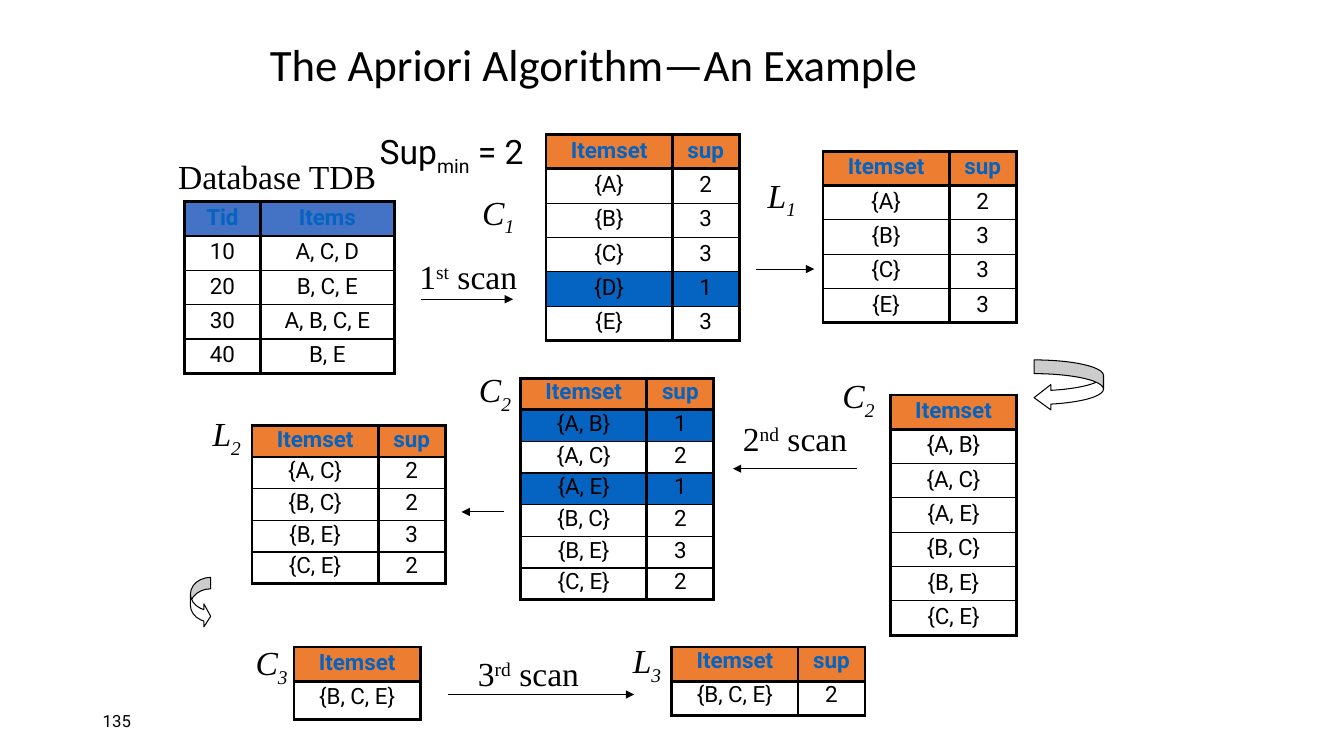
from lxml.etree import SubElement
from pptx import Presentation
from pptx.dml.color import RGBColor
from pptx.enum.shapes import MSO_CONNECTOR, MSO_SHAPE
from pptx.enum.text import MSO_ANCHOR, MSO_AUTO_SIZE, PP_ALIGN
from pptx.oxml import parse_xml
from pptx.oxml.ns import nsdecls, qn
from pptx.util import Cm, Pt

BLACK, WHITE = "000000", "FFFFFF"
BLUE, HEADER_BLUE, ORANGE = "0563C1", "4472C4", "ED7D31"
SERIF, SANS = "Times New Roman", "Roboto"
SUBSCRIPT, SUPERSCRIPT = -25000, 30000

TITLE = "The Apriori Algorithm—An Example"
PAGE_NUMBER = "135"
DATABASE_LABEL = "Database TDB"
SUPPORT_RUNS = [("Sup", 0), ("min", SUBSCRIPT), (" = 2", 0)]

# Lengths are centimetres.
LABEL_HEIGHT = 1.27
# letter, index, left, top, width
SET_LABELS = [
    ("C", "1", 11.88, 4.78, 1.35),
    ("L", "1", 19.07, 4.34, 1.27),
    ("L", "2", 5.08, 10.36, 1.27),
    ("C", "2", 11.8, 9.25, 1.35),
    ("C", "2", 20.96, 9.4, 1.35),
    ("C", "3", 6.17, 16.13, 1.35),
    ("L", "3", 15.67, 16.08, 1.27),
]
# number, ordinal ending, left, top, width
SCAN_LABELS = [
    ("1", "st", 10.29, 6.32, 3.02),
    ("2", "nd", 18.42, 10.41, 3.23),
    ("3", "rd", 11.76, 16.33, 3.12),
]
# start, end, height on the slide
ARROWS = [
    (10.62, 12.93, 7.54),
    (21.59, 18.47, 11.81),
    (11.28, 15.98, 17.5),
    (19.05, 20.52, 6.78),
    (12.7, 11.63, 12.9),
]
CURVED_ARROWS = [
    (MSO_SHAPE.CURVED_LEFT_ARROW, 26.06, 9.07, 1.75, (0.273, 0.546, 0.333)),
    (MSO_SHAPE.CURVED_RIGHT_ARROW, 4.8, 14.55, 0.51, (0.566, 1.132, 0.333)),
]

ITEMSET_WIDTH, SUP_WIDTH = 3.18, 1.69
ROW_HEIGHT, TIGHT_ROW_HEIGHT = 0.865, 0.795
HEADER = ("Itemset", "sup")
TABLES = [
    dict(left=4.65, top=5.08, widths=(1.91, 3.38), header_fill=HEADER_BLUE,
         rows=[("Tid", "Items"), ("10", "A, C, D"), ("20", "B, C, E"),
               ("30", "A, B, C, E"), ("40", "B, E")]),
    dict(left=13.76, top=3.39, dropped=("{D}",),
         rows=[HEADER, ("{A}", "2"), ("{B}", "3"), ("{C}", "3"), ("{D}", "1"), ("{E}", "3")]),
    dict(left=20.74, top=3.81,
         rows=[HEADER, ("{A}", "2"), ("{B}", "3"), ("{C}", "3"), ("{E}", "3")]),
    dict(left=22.44, top=9.95,
         rows=[("Itemset",), ("{A, B}",), ("{A, C}",), ("{A, E}",),
               ("{B, C}",), ("{B, E}",), ("{C, E}",)]),
    dict(left=13.12, top=9.53, row_height=TIGHT_ROW_HEIGHT, spacing=0.8,
         dropped=("{A, B}", "{A, E}"),
         rows=[HEADER, ("{A, B}", "1"), ("{A, C}", "2"), ("{A, E}", "1"),
               ("{B, C}", "2"), ("{B, E}", "3"), ("{C, E}", "2")]),
    dict(left=6.35, top=10.72, row_height=TIGHT_ROW_HEIGHT, spacing=0.8,
         rows=[HEADER, ("{A, C}", "2"), ("{B, C}", "2"), ("{B, E}", "3"), ("{C, E}", "2")]),
    dict(left=7.41, top=16.3, last_height=0.97, rows=[("Itemset",), ("{B, C, E}",)]),
    dict(left=16.93, top=16.3, spacing=0.8, rows=[HEADER, ("{B, C, E}", "2")]),
]


def color(hex_value):
    return RGBColor.from_string(hex_value)


def write(paragraph, runs, size=24, font=SERIF, ink=BLACK, bold=False, italic=False,
          align=PP_ALIGN.LEFT, spacing=None):
    """Fill a paragraph with (text, baseline shift) runs that share one format."""
    paragraph.alignment = align
    paragraph.line_spacing = spacing
    for text, baseline in runs:
        run = paragraph.add_run()
        run.text = text
        run.font.size = Pt(size)
        run.font.name = font
        run.font.bold = bold
        run.font.italic = italic
        run.font.color.rgb = color(ink)
        if baseline:
            run.font._element.set("baseline", str(baseline))


def add_text(slide, runs, left, top, width, height=LABEL_HEIGHT, wrap=True, grow=False,
             anchor=MSO_ANCHOR.MIDDLE, **text_format):
    box = slide.shapes.add_textbox(Cm(left), Cm(top), Cm(width), Cm(height))
    frame = box.text_frame
    frame.word_wrap = wrap
    frame.vertical_anchor = anchor
    frame.auto_size = MSO_AUTO_SIZE.SHAPE_TO_FIT_TEXT if grow else MSO_AUTO_SIZE.NONE
    write(frame.paragraphs[0], runs, **text_format)


def add_label(slide, runs, left, top, width, **text_format):
    add_text(slide, runs, left, top, width, wrap=False, grow=True,
             align=PP_ALIGN.CENTER, **text_format)


def add_arrow(slide, start, end, height):
    arrow = slide.shapes.add_connector(
        MSO_CONNECTOR.STRAIGHT, Cm(start), Cm(height), Cm(end), Cm(height))
    arrow.line.color.rgb = color(BLACK)
    arrow.line.width = Pt(0.75)
    SubElement(arrow.line._get_or_add_ln(), qn("a:tailEnd"), type="triangle")
    SubElement(arrow._element.spPr, qn("a:effectLst"))


def add_curved_arrow(slide, preset, left, top, width, adjustments):
    shape = slide.shapes.add_shape(preset, Cm(left), Cm(top), Cm(width), Cm(LABEL_HEIGHT))
    shape.shadow.inherit = False
    shape.fill.solid()
    shape.fill.fore_color.rgb = color(WHITE)
    shape.line.color.rgb = color(BLACK)
    shape.line.width = Pt(0.75)
    for index, value in enumerate(adjustments):
        shape.adjustments[index] = value


def set_borders(cell, top, bottom):
    """Draw thick sides, and a top and bottom of the given widths in points."""
    properties = cell._tc.get_or_add_tcPr()
    sides = (("L", 2.25), ("R", 2.25), ("T", top), ("B", bottom))
    for index, (side, width) in enumerate(sides):
        properties.insert(index, parse_xml(
            f'<a:ln{side} {nsdecls("a")} w="{Pt(width)}"><a:solidFill>'
            f'<a:srgbClr val="{BLACK}"/></a:solidFill></a:ln{side}>'))


def add_itemset_table(slide, left, top, rows, widths=(ITEMSET_WIDTH, SUP_WIDTH),
                      row_height=ROW_HEIGHT, last_height=None, spacing=0.9,
                      header_fill=ORANGE, dropped=()):
    """Add a table; rows whose first cell is in dropped are shaded."""
    widths = widths[:len(rows[0])]
    heights = [row_height] * (len(rows) - 1) + [last_height or row_height]
    table = slide.shapes.add_table(len(rows), len(widths), Cm(left), Cm(top),
                                   Cm(sum(widths)), Cm(sum(heights))).table
    table.first_row = table.horz_banding = False
    for column, width in zip(table.columns, widths):
        column.width = Cm(width)
    for row_index, values in enumerate(rows):
        table.rows[row_index].height = Cm(heights[row_index])
        is_header = row_index == 0
        fill = header_fill if is_header else BLUE if values[0] in dropped else None
        for column_index, value in enumerate(values):
            cell = table.cell(row_index, column_index)
            if fill:
                cell.fill.solid()
                cell.fill.fore_color.rgb = color(fill)
            else:
                cell.fill.background()
            set_borders(cell, top=2.25 if row_index < 2 else 1,
                        bottom=2.25 if row_index in (0, len(rows) - 1) else 1)
            write(cell.text_frame.paragraphs[0], [(value, 0)], size=16, font=SANS,
                  ink=BLUE if is_header else BLACK, bold=is_header,
                  align=PP_ALIGN.CENTER, spacing=spacing)


def main():
    presentation = Presentation()
    presentation.slide_width, presentation.slide_height = Cm(33.87), Cm(19.05)
    slide = presentation.slides.add_slide(presentation.slide_layouts[6])

    add_text(slide, [(PAGE_NUMBER, 0)], 2.34, 17.65, 7.62, 1.02, size=12, font=SANS)
    add_text(slide, [(TITLE, 0)], 6.55, 0.84, 21.64, 1.7,
             size=32, font="Calibri", spacing=0.9)
    add_label(slide, [(DATABASE_LABEL, 0)], 4.23, 3.81, 5.51)
    for letter, index, *place in SET_LABELS:
        add_label(slide, [(letter, 0), (index, SUBSCRIPT)], *place, italic=True)
    for number, ending, *place in SCAN_LABELS:
        add_label(slide, [(number, 0), (ending, SUPERSCRIPT), (" scan", 0)], *place)
    for arrow in ARROWS:
        add_arrow(slide, *arrow)
    for curved_arrow in CURVED_ARROWS:
        add_curved_arrow(slide, *curved_arrow)
    for table in TABLES:
        add_itemset_table(slide, **table)
    add_text(slide, SUPPORT_RUNS, 9.32, 3.18, 4.88, grow=True,
             anchor=MSO_ANCHOR.TOP, font=SANS)

    presentation.save("out.pptx")


if __name__ == "__main__":
    main()
